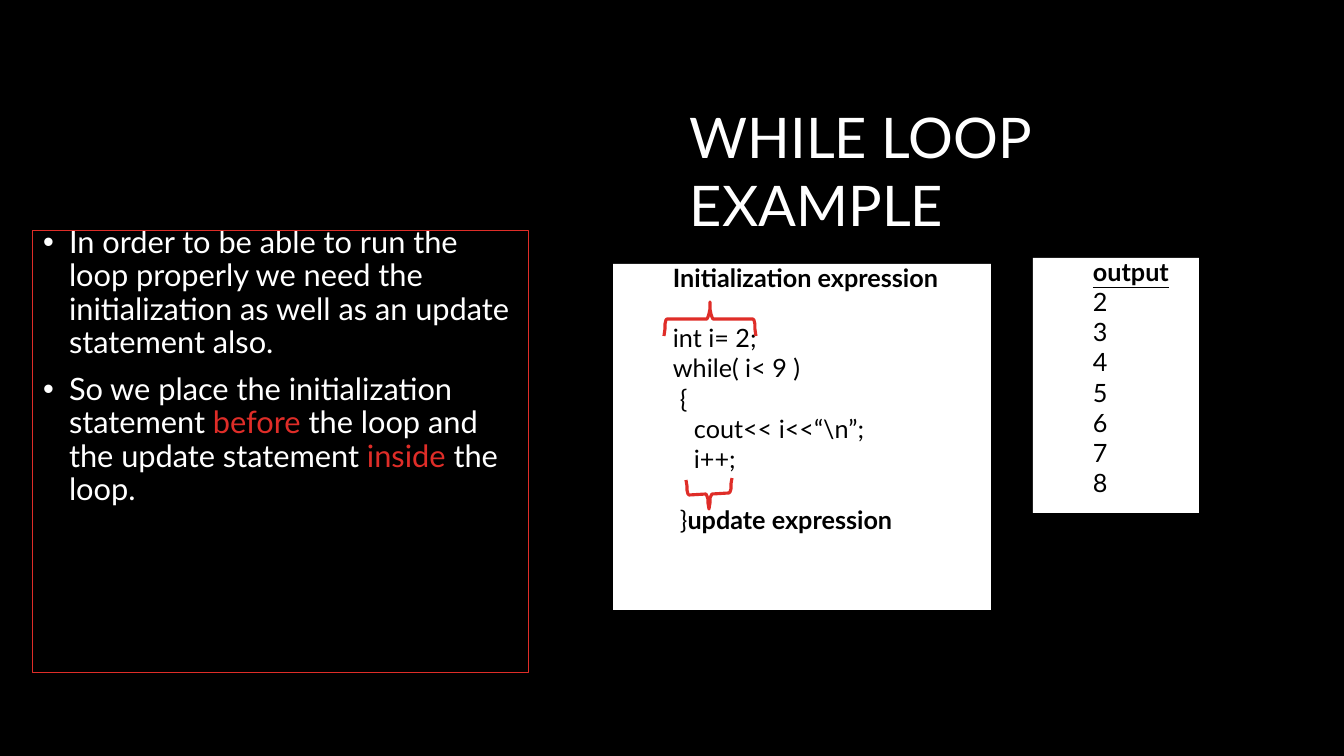
from lxml import etree
from pptx import Presentation, util as u
from pptx.dml.color import RGBColor
from pptx.enum import shapes, text
from pptx.oxml.ns import qn

PX = 914400 / 100.8
FONT = "Lato"
BLACK, WHITE, RED = "000000", "FFFFFF", "DF2D28"

TITLE = "WHILE LOOP EXAMPLE"
# Paragraphs of (text, colour) runs
POINTS = [
    [("In order to be able to run the loop properly we need the "
      "initialization as well as an update statement also.", WHITE)],
    [("So we place the initialization statement ", WHITE), ("before ", RED),
     ("the loop and the update statement ", WHITE), ("inside ", RED),
     ("the loop.", WHITE)],
]
# Lines of (indent in px, rows skipped above, plain text, bold text)
CODE = [
    (0, 0, "", "Initialization expression"),
    (0, 1, "int i= 2;", ""),
    (0, 0, "while( i< 9 )", ""),
    (7, 0, "{", ""),
    (21, 0, "cout<< i<<“\\n”;", ""),
    (21, 0, "i++;", ""),
    (7, 1, "}", "update expression"),
]
OUTPUT = ["output"] + [str(n) for n in range(2, 9)]

FRAME = (33, 230, 496, 443)
PANELS = [(613, 264, 378, 346), (1033, 258, 166, 255)]
# Tip x, tip y, half width, height (signed, away from the tip), tilt
BRACES = [(710, 302, 46, 34, 0), (709, 509, 23, -30, -1)]


def px(n):
    return u.Emu(round(n * PX))


def color(code):
    return RGBColor.from_string(code)


def style(font, size, code, bold=False):
    font.name, font.size, font.bold = FONT, u.Pt(size), bold
    font.color.rgb = color(code)


def place(shape, left, top, width, height):
    """Move a text shape and clear its margins; return its text frame."""
    shape.left, shape.top = px(left), px(top)
    shape.width, shape.height = px(width), px(height)
    frame = shape.text_frame
    frame.margin_left = frame.margin_right = 0
    frame.margin_top = frame.margin_bottom = 0
    frame.word_wrap = True
    frame.auto_size = text.MSO_AUTO_SIZE.NONE
    frame.vertical_anchor = text.MSO_ANCHOR.TOP
    return frame


def rows(frame, items):
    """Yield a paragraph for each item."""
    for i, item in enumerate(items):
        yield (frame.add_paragraph() if i else frame.paragraphs[0]), item


def add_run(para, words, size, code, bold=False):
    run = para.add_run()
    run.text = words
    style(run.font, size, code, bold)
    return run


def add_box(slide, area, fill=None, line=None):
    box = slide.shapes.add_shape(shapes.MSO_SHAPE.RECTANGLE, *map(px, area))
    box.shadow.inherit = False
    if fill:
        box.fill.solid()
        box.fill.fore_color.rgb = color(fill)
    else:
        box.fill.background()
    if line:
        box.line.color.rgb = color(line)
        box.line.width = u.Pt(0.72)
    else:
        box.line.fill.background()


def add_brace(slide, x, y, wide, high, tilt):
    half = [(wide, 1), (wide - 1, 0.8), (wide - 1, 0.65), (wide - 2, 0.54),
            (wide - 3, 0.5), (3, 0.5), (2, 0.44), (1, 0.35), (0.5, 0.2)]
    ends = [(-dx, dy) for dx, dy in half] + [(0, 0)] + half[::-1]
    spots = [(x + dx, y + dy * high + tilt * dx / wide) for dx, dy in ends]
    path = slide.shapes.build_freeform(*spots[0], scale=PX)
    path.add_line_segments(spots[1:], close=False)
    brace = path.convert_to_shape()
    brace.shadow.inherit = False
    brace.fill.background()
    brace.line.color.rgb = color(RED)
    brace.line.width = u.Pt(2.25)


def main():
    deck = Presentation()
    deck.slide_width, deck.slide_height = px(1344), px(756)
    slide = deck.slides.add_slide(deck.slide_layouts[1])
    slide.background.fill.solid()
    slide.background.fill.fore_color.rgb = color(BLACK)

    head = place(slide.shapes.title, 690, 103, 570, 140)
    head.text = TITLE
    head.paragraphs[0].alignment = text.PP_ALIGN.LEFT
    style(head.paragraphs[0].runs[0].font, 40, WHITE)

    add_box(slide, FRAME, line=RED)
    body = place(slide.placeholders[1], 43, 227, 470, 290)
    for para, runs in rows(body, POINTS):
        props = para._p.get_or_add_pPr()
        props.set("marL", str(px(26)))
        props.set("indent", str(-px(26)))
        etree.SubElement(props, qn("a:buChar")).set("char", "•")
        para.line_spacing = 0.9
        para.space_before = u.Pt(0 if runs is POINTS[0] else 10)
        for words, code in runs:
            add_run(para, words, 22, code)

    for panel in PANELS:
        add_box(slide, panel, fill=WHITE)

    box = slide.shapes.add_textbox(0, 0, 0, 0)
    for para, line in rows(place(box, 673, 262, 300, 280), CODE):
        indent, skip, plain, bold = line
        para._p.get_or_add_pPr().set("marL", str(px(indent)))
        para.space_before = u.Pt(21.6 * skip)
        if plain:
            add_run(para, plain, 18, BLACK)
        if bold:
            add_run(para, bold, 18, BLACK, True)

    for brace in BRACES:
        add_brace(slide, *brace)

    box = slide.shapes.add_textbox(0, 0, 0, 0)
    for para, words in rows(place(box, 1093, 256, 90, 245), OUTPUT):
        top = words == OUTPUT[0]
        add_run(para, words, 18, BLACK, top).font.underline = top

    deck.save("out.pptx")


if __name__ == "__main__":
    main()
